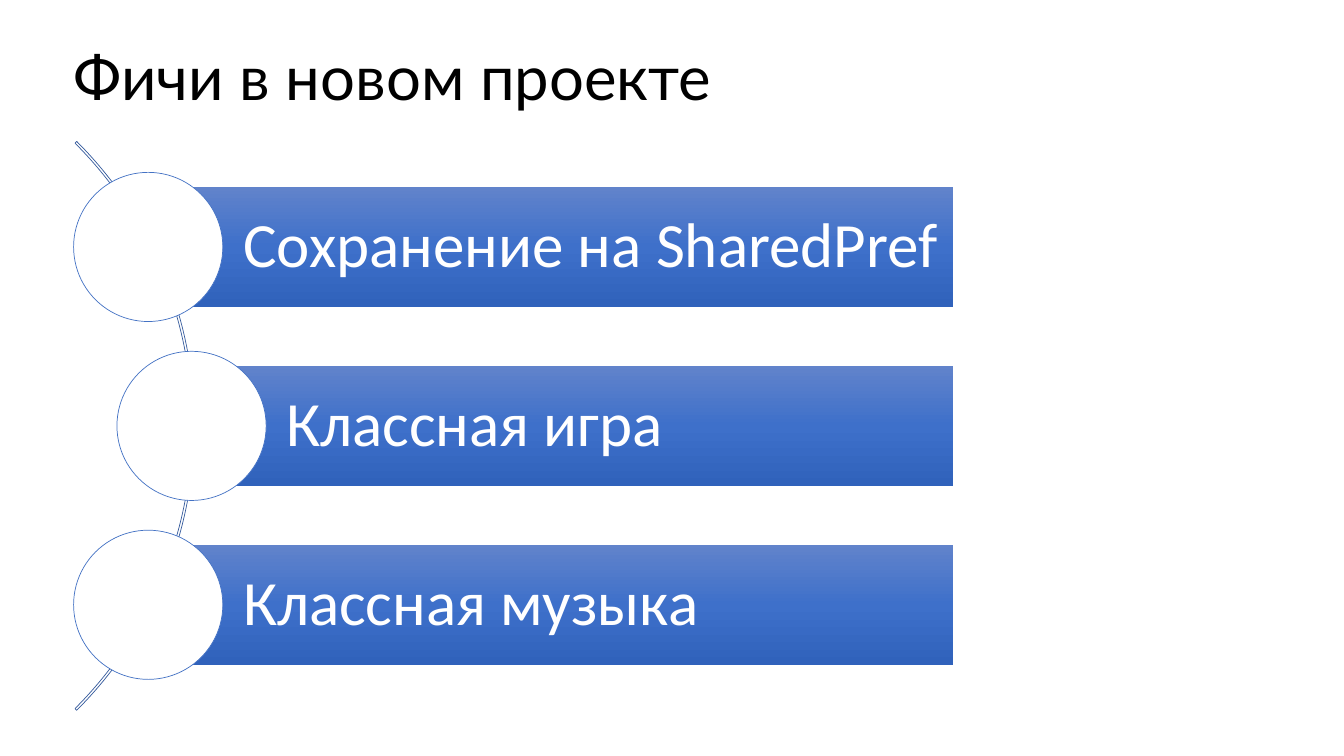
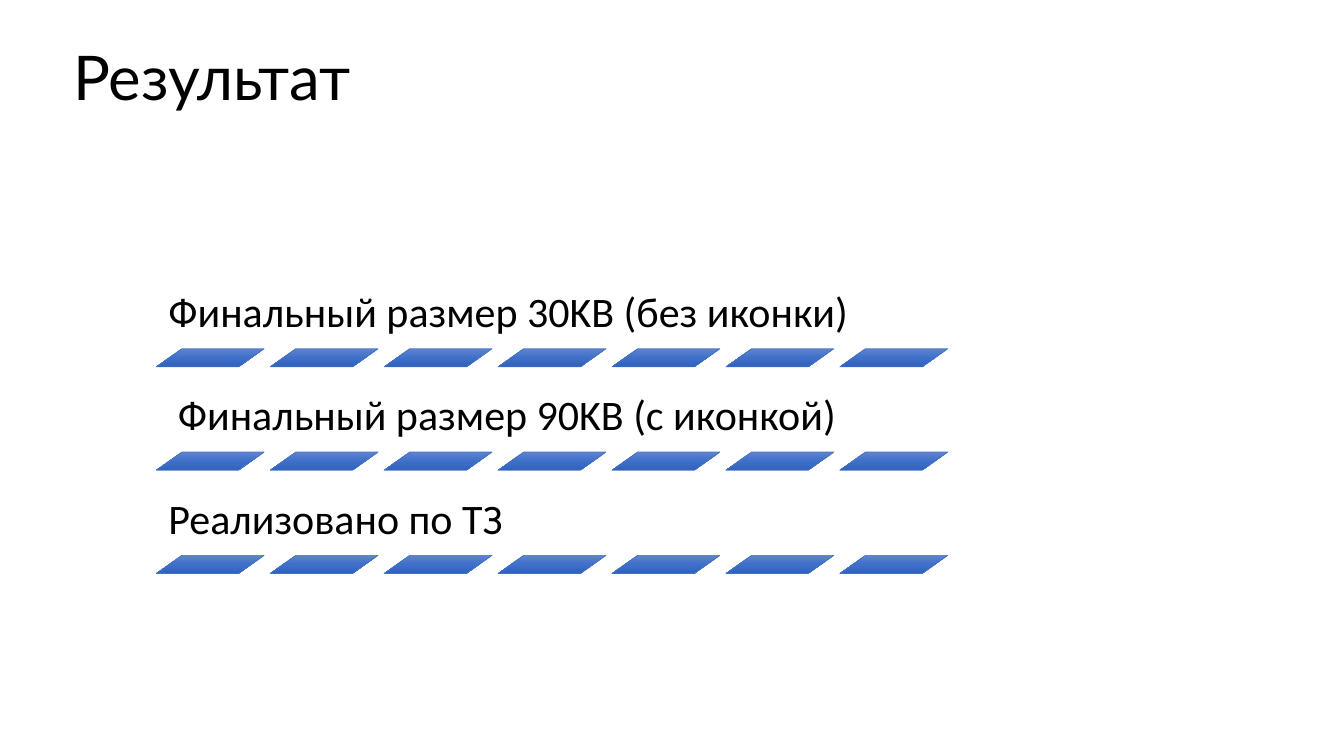
from copy import deepcopy
from pptx import Presentation
from pptx.dml.color import RGBColor
from pptx.enum.shapes import MSO_SHAPE as Kind
from pptx.enum.text import MSO_ANCHOR as Anchor, MSO_AUTO_SIZE as Fit, PP_ALIGN as Align
from pptx.oxml.ns import qn
from pptx.util import Inches, Pt

COLORS = {"text": "000000", "white": "FFFFFF", "edge": "4472C4", "arc": "365B9D",
          "top": "6183CB", "mid": "3E70CA", "low": "3062BB"}
SHADES = [(0, "top"), (0.5, "mid"), (1, "low")]
BODY, HEAD = "Calibri", "Lato"


def tint(name):
    return RGBColor.from_string(COLORS[name])


def write(shape, text, size, font, color, anchor, pads=None):
    """Fill a text frame with one left-aligned line."""
    frame = shape.text_frame
    frame.word_wrap = True
    frame.auto_size = Fit.NONE
    frame.vertical_anchor = anchor
    if pads:
        (frame.margin_left, frame.margin_top,
         frame.margin_right, frame.margin_bottom) = map(Inches, pads)
    para = frame.paragraphs[0]
    para.alignment = Align.LEFT
    para.line_spacing = 0.9
    run = para.add_run()
    run.text = text
    run.font.size = Pt(size)
    run.font.name = font
    run.font.color.rgb = tint(color)


def draw(slide, kind, box, fill=None, line=None, adjust=()):
    """Add a preset shape; fill is a colour name, "grad" or None."""
    shape = slide.shapes.add_shape(kind, *map(Inches, box))
    shape.shadow.inherit = False
    for i, value in enumerate(adjust):
        shape.adjustments[i] = value
    if fill == "grad":
        blend(shape)
    elif fill:
        shape.fill.solid()
        shape.fill.fore_color.rgb = tint(fill)
    else:
        shape.fill.background()
    if line:
        shape.line.color.rgb = tint(line)
        shape.line.width = Pt(0.5)
    else:
        shape.line.fill.background()
    return shape


def blend(shape):
    """Three-stop gradient, light at the top."""
    shape.fill.gradient()
    shape.fill.gradient_angle = 270
    stops = shape.element.spPr.find(".//" + qn("a:gsLst"))
    stops.insert(1, deepcopy(stops[0]))
    for stop, (place, color) in zip(shape.fill.gradient_stops, SHADES):
        stop.position = place
        stop.color.rgb = tint(color)


def start(deck, text):
    """New slide with the shared title style."""
    slide = deck.slides.add_slide(deck.slide_layouts[5])
    title = slide.shapes.title
    title.left, title.top, title.width, title.height = map(
        Inches, (0.63, 0.42, 12.1, 0.83))
    write(title, text, 44, HEAD, "text", Anchor.TOP)
    return slide


def curve(slide, box, items):
    """Bars with circles strung along an arc; the middle one is shifted right."""
    x, y, w, h = box
    disc, bar, arc = 1.48, 1.19, 7.98
    step = (h - disc) / (len(items) - 1)
    # Arc, centred on the box height
    draw(slide, Kind.BLOCK_ARC, (x - 6.78, y + (h - arc) / 2, arc, arc),
         line="arc", adjust=(189, 27, 0.003))
    # Bars and circles
    for i, text in enumerate(items):
        shift = 0.43 * (i % 2)
        left, top = x + shift, y + i * step
        mid = left + disc / 2
        band = draw(slide, Kind.RECTANGLE,
                    (mid, top + (disc - bar) / 2, x + w - mid, bar), "grad")
        write(band, text, 45, BODY, "white", Anchor.MIDDLE, (0.94, 0.12, 0.12, 0.12))
        draw(slide, Kind.OVAL, (left, top, disc, disc), "white", "edge")


def dashes(slide, box, items):
    """Text lines, each underlined by a row of slanted dashes."""
    x, y, w, h = box
    tall, thin = 0.73, 0.18
    step = (h - tall - thin) / (len(items) - 1)
    for i, text in enumerate(items):
        top = y + i * step
        label = slide.shapes.add_textbox(*map(Inches, (x, top, w, tall)))
        write(label, text, 30, BODY, "text", Anchor.BOTTOM, (0.12,) * 4)
        for j in range(7):
            draw(slide, Kind.PARALLELOGRAM, (x + j * 1.13, top + tall, 1.07, thin),
                 "grad", "edge", (1.41,))


def main():
    deck = Presentation()
    deck.slide_width, deck.slide_height = Inches(13.33), Inches(7.5)
    curve(start(deck, "Фичи в новом проекте"), (0.73, 1.71, 8.72, 5.03),
          ["Сохранение на SharedPref", "Классная игра", "Классная музыка"])
    dashes(start(deck, "Результат"), (1.55, 2.73, 8, 2.96),
           ["Финальный размер 30KB (без иконки)",
            " Финальный размер 90KB (с иконкой)",
            "Реализовано по ТЗ"])
    deck.save("out.pptx")


if __name__ == "__main__":
    main()
